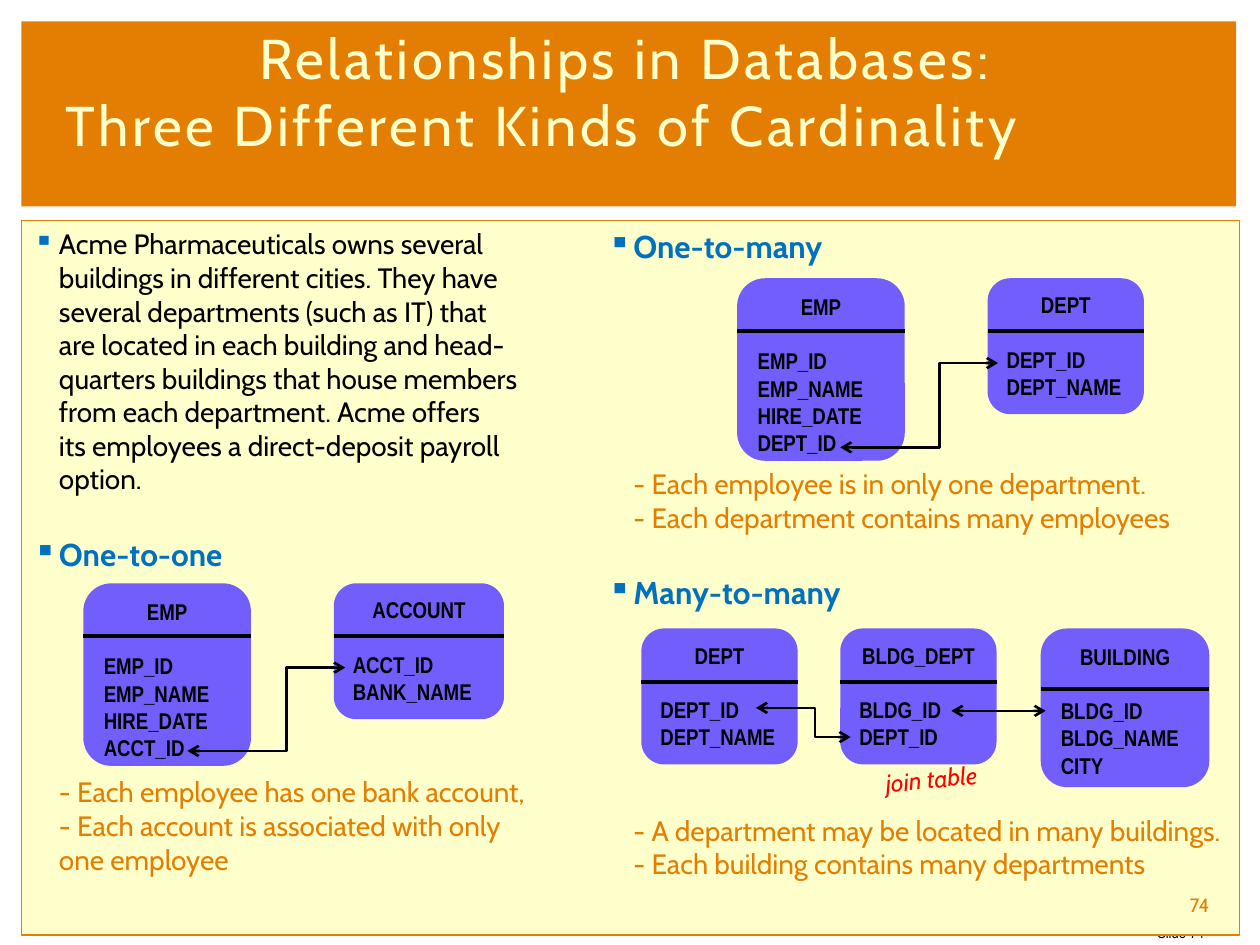
import pptx
import pptx.util
import pptx.dml.color
import pptx.enum.shapes
import pptx.enum.text
import lxml.etree
import pptx.oxml.ns

Cm = pptx.util.Cm
Pt = pptx.util.Pt
RGBColor = pptx.dml.color.RGBColor
SHAPE = pptx.enum.shapes.MSO_SHAPE
LINK = pptx.enum.shapes.MSO_CONNECTOR
ALIGN = pptx.enum.text.PP_ALIGN
ANCHOR = pptx.enum.text.MSO_ANCHOR
qn = pptx.oxml.ns.qn

ORANGE = RGBColor(0xE3, 0x7E, 0x03)
CREAM = RGBColor(0xFF, 0xFF, 0xCC)
BLUE = RGBColor(0x00, 0x70, 0xC0)
PURPLE = RGBColor(0x71, 0x5E, 0xFD)
BLACK = RGBColor(0, 0, 0)
RED = RGBColor(0xFF, 0, 0)

deck = pptx.Presentation()
deck.slide_width, deck.slide_height = Cm(25.4), Cm(19.05)
slide = deck.slides.add_slide(deck.slide_layouts[6])
shapes = slide.shapes


def style(para, size, color, face="Cabin", bold=False, align=ALIGN.LEFT):
    para.alignment = align
    for run in para.runs:
        font = run.font
        font.size, font.name, font.bold = Pt(size), face, bold
        font.color.rgb = color


def panel(kind, left, top, width, height, fill):
    shape = shapes.add_shape(kind, Cm(left), Cm(top), Cm(width), Cm(height))
    shape.shadow.inherit = False
    shape.fill.solid()
    shape.fill.fore_color.rgb = fill
    shape.line.fill.background()
    shape.text_frame.vertical_anchor = ANCHOR.TOP
    return shape


# Title bar
panel(SHAPE.RECTANGLE, 0.43, 0.43, 24.49, 3.73, ORANGE)
title = shapes.add_textbox(Cm(1.07), Cm(0.36), Cm(23.06), Cm(2.92))
frame = title.text_frame
frame.word_wrap = True
frame.vertical_anchor = ANCHOR.MIDDLE
frame.text = "Relationships in Databases:\nThree Different Kinds of Cardinality"
for para, align in zip(frame.paragraphs, (ALIGN.CENTER, ALIGN.LEFT)):
    style(para, 32, CREAM, align=align)
    para.runs[0].font._element.set("spc", "200")

# Footer label, partly behind the body
label = shapes.add_textbox(Cm(22.89), Cm(18.42), Cm(1.63), Cm(0.76))
label.text_frame.word_wrap = True
label.text_frame.vertical_anchor = ANCHOR.MIDDLE
label.text_frame.text = "Slide 74"
style(label.text_frame.paragraphs[0], 9, BLACK, "Arial Narrow", align=ALIGN.RIGHT)

# Body columns: text, kind, space before
body = panel(SHAPE.RECTANGLE, 0.43, 4.45, 24.56, 14.4, CREAM)
body.line.color.rgb = ORANGE
body.line.width = Pt(0.75)
right = shapes.add_textbox(Cm(11), Cm(4.45), Cm(14.07), Cm(14.4))
looks = {"intro": (16, BLACK), "head": (18, BLUE), "note": (16, ORANGE)}
columns = [
    (body, 0.51, [
        ("Acme Pharmaceuticals owns several\vbuildings in different cities. They have\v"
         "several departments (such as IT) that\vare located in each building and head-\v"
         "quarters buildings that house members\vfrom each department. Acme offers\v"
         "its employees a direct-deposit payroll\voption.", "intro", 0),
        ("One-to-one", "head", 22.5),
        ("- Each employee has one bank account,\v"
         "- Each account is associated with only\vone employee", "note", 115.5)]),
    (right, 1.52, [
        ("One-to-many", "head", 0),
        ("- Each employee is in only one department.\v"
         "- Each department contains many employees", "note", 115.5),
        ("Many-to-many", "head", 22.5),
        ("- A department may be located in many buildings.\v"
         "- Each building contains many departments", "note", 115.5)]),
]
for shape, indent, items in columns:
    frame = shape.text_frame
    frame.word_wrap = True
    frame.text = "\n".join(item[0] for item in items)
    for para, (text, kind, gap) in zip(frame.paragraphs, items):
        props = para._p.get_or_add_pPr()
        props.set("marL", str(Cm(indent)))
        props.set("indent", "0")
        if kind != "note":
            props.set("indent", str(-Cm(0.51)))
            tint = lxml.etree.SubElement(props, qn("a:buClr"))
            lxml.etree.SubElement(tint, qn("a:srgbClr")).set("val", str(BLUE))
            lxml.etree.SubElement(props, qn("a:buChar")).set("char", "▪")
        if gap:
            para.space_before = Pt(gap)
        size, color = looks[kind]
        style(para, size, color, bold=kind == "head")

# Tables of the data model: left, top, width, height, rule offset, name, fields
people = ["EMP_ID", "EMP_NAME", "HIRE_DATE"]
dept = ["DEPT_ID", "DEPT_NAME"]
tables = [
    (1.68, 11.76, 3.38, 3.68, 1.07, "EMP", people + ["ACCT_ID"]),
    (6.73, 11.76, 3.43, 2.74, 1.07, "ACCOUNT", ["ACCT_ID", "BANK_NAME"]),
    (14.86, 5.61, 3.38, 3.68, 1.07, "EMP", people + ["DEPT_ID"]),
    (19.91, 5.61, 3.15, 2.74, 1.07, "DEPT", dept),
    (12.93, 12.67, 3.15, 2.74, 1.07, "DEPT", dept),
    (16.94, 12.67, 3.15, 2.74, 1.07, "BLDG_DEPT", ["BLDG_ID", "DEPT_ID"]),
    (20.98, 12.67, 3.4, 3.2, 1.22, "BUILDING", ["BLDG_ID", "BLDG_NAME", "CITY"]),
]
# Links: kind, start, end, width, arrows, bend
links = []
for left, top, width, height, drop, name, fields in tables:
    box = panel(SHAPE.ROUNDED_RECTANGLE, left, top, width, height, PURPLE)
    frame = box.text_frame
    frame.text = "\n".join([name] + fields)
    for para in frame.paragraphs:
        style(para, 13, BLACK, "Arial Narrow", True)
    frame.paragraphs[0].alignment = ALIGN.CENTER
    frame.paragraphs[1].space_before = Pt(15.5)
    rule = top + drop
    links.append((LINK.STRAIGHT, left, rule, left + width, rule, 2.25, False, None))

# Rules under the names and arrows between the keys
links += [
    (LINK.ELBOW, 3.78, 15.14, 6.96, 13.46, 1.5, True, 62800),
    (LINK.ELBOW, 16.94, 9.02, 20.12, 7.32, 1.5, True, 62800),
    (LINK.ELBOW, 15.24, 14.27, 17.15, 14.86, 1.5, True, 62500),
    (LINK.STRAIGHT, 19.18, 14.33, 21.08, 14.33, 1.5, True, None),
]
for kind, x1, y1, x2, y2, weight, arrows, bend in links:
    link = shapes.add_connector(kind, Cm(x1), Cm(y1), Cm(x2), Cm(y2))
    link.line.color.rgb = BLACK
    link.line.width = Pt(weight)
    props = link._element.spPr
    lxml.etree.SubElement(props, qn("a:effectLst"))
    if arrows:
        for end in ("a:headEnd", "a:tailEnd"):
            lxml.etree.SubElement(props.find(qn("a:ln")), qn(end)).set("type", "arrow")
    if bend:
        guide = lxml.etree.SubElement(props.find(".//" + qn("a:avLst")), qn("a:gd"))
        guide.set("name", "adj1")
        guide.set("fmla", f"val {bend}")

# Join table remark
remark = shapes.add_textbox(Cm(17.6), Cm(15.27), Cm(2.49), Cm(0.86))
remark.rotation = -5.4
remark.text_frame.text = "join table"
para = remark.text_frame.paragraphs[0]
style(para, 14, RED)
para.runs[0].font.italic = True

# Page number
page = shapes.add_textbox(Cm(23.37), Cm(17.86), Cm(1.63), Cm(0.76))
page.text_frame.word_wrap = True
page.text_frame.vertical_anchor = ANCHOR.MIDDLE
page.text_frame.text = "74"
style(page.text_frame.paragraphs[0], 11, ORANGE, align=ALIGN.CENTER)

deck.save("out.pptx")
